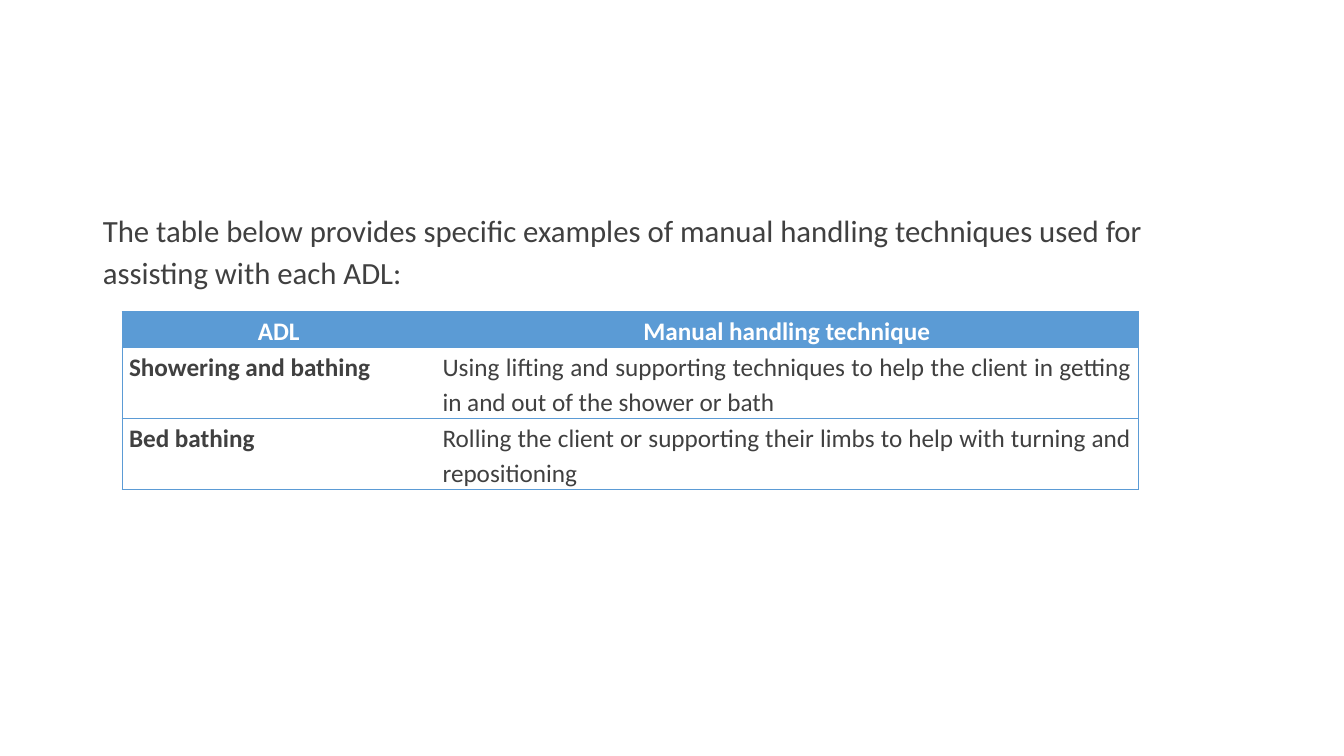
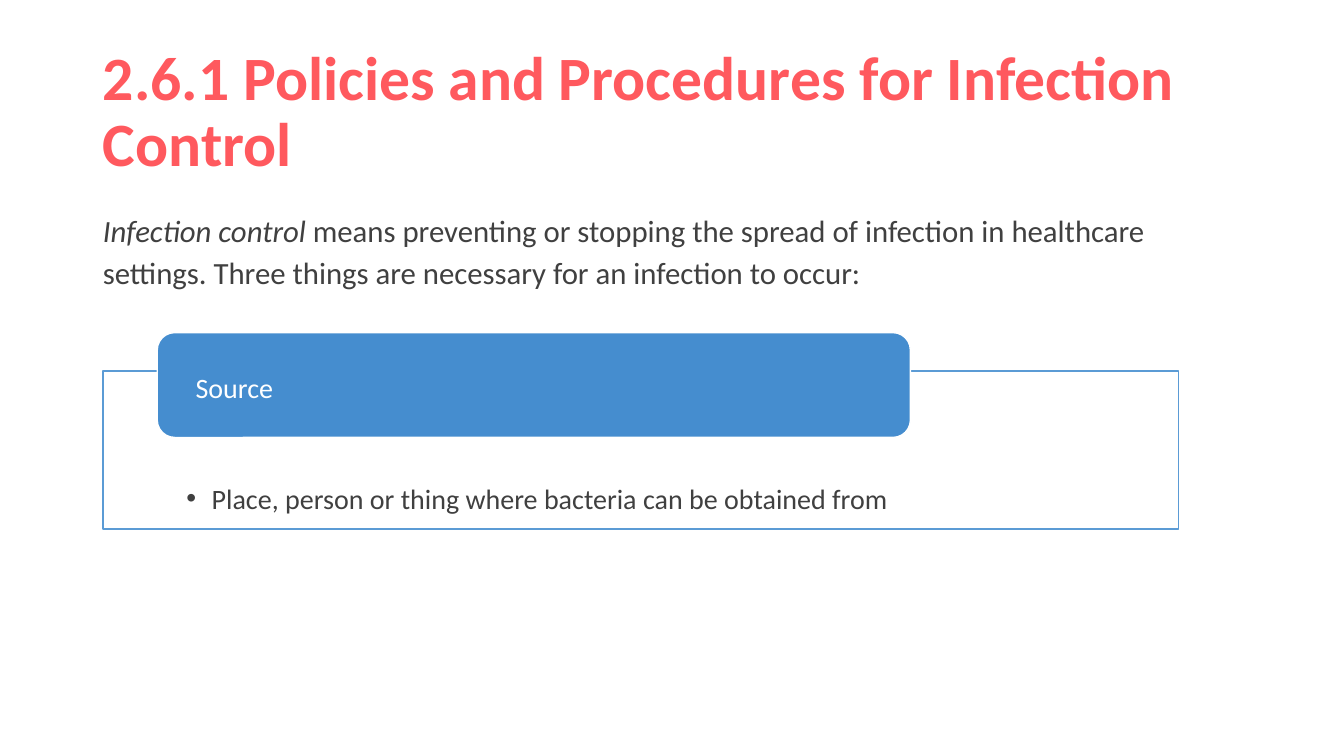
from lxml.etree import SubElement
from pptx import Presentation
from pptx.dml.color import RGBColor
from pptx.enum.shapes import MSO_SHAPE
from pptx.enum.text import MSO_ANCHOR, MSO_AUTO_SIZE, PP_ALIGN
from pptx.oxml.ns import qn
from pptx.util import Inches, Pt

FONT = "Calibri"
DARK, WHITE, CORAL = "404040", "FFFFFF", "FF595E"
BLUE, DEEP = "5B9BD5", "458DCF"
rgb = RGBColor.from_string


def write(para, text, size, color, bold=False, italic=False):
    run = para.add_run()
    run.text = text
    font = run.font
    font.name, font.size = FONT, Pt(size)
    font.bold, font.italic = bold, italic
    font.color.rgb = rgb(color)


def indent(para, mark=None):
    """Give a hanging bullet, or clear the bullet when there is no mark."""
    props = para._p.get_or_add_pPr()
    hang = Inches(0.25) if mark else 0
    props.set("marL", str(hang))
    props.set("indent", str(-hang))
    if mark:
        SubElement(props, qn("a:buFont"), typeface="Arial")
        SubElement(props, qn("a:buChar"), char=mark)
    else:
        SubElement(props, qn("a:buNone"))


prs = Presentation()
prs.slide_width, prs.slide_height = Inches(13.33), Inches(7.5)

# Shared places of title and body
layout = prs.slide_layouts[1]
for holder, top, height in zip(layout.placeholders, (0.4, 2), (1.45, 4.76)):
    holder.left, holder.top = Inches(0.92), Inches(top)
    holder.width, holder.height = Inches(11.03), Inches(height)

# Each slide: title and the runs of its intro, as text and italic
pages = [
    (None, [("The table below provides specific examples of manual handling "
             "techniques used for assisting with each ADL:", False)]),
    ("2.6.1 Policies and Procedures for Infection Control",
     [("Infection control ", True),
      ("means preventing or stopping the spread of infection in healthcare "
       "settings. Three things are necessary for an infection to occur:", False)]),
]
slides = []
for head, intro in pages:
    slide = prs.slides.add_slide(layout)
    slides.append(slide)
    title, body = slide.placeholders
    if head:
        title.text_frame.vertical_anchor = MSO_ANCHOR.MIDDLE
        para = title.text_frame.paragraphs[0]
        para.alignment, para.line_spacing = PP_ALIGN.LEFT, 0.9
        write(para, head, 44, CORAL, bold=True)
    else:
        title.element.getparent().remove(title.element)
    body.text_frame.auto_size = MSO_AUTO_SIZE.NONE
    para = body.text_frame.paragraphs[0]
    para.line_spacing = 1.14
    indent(para)
    for text, italic in intro:
        write(para, text, 22, DARK, italic=italic)

# Slide 1: table of techniques
rows = [
    ("ADL", "Manual handling technique"),
    ("Showering and bathing", "Using lifting and supporting techniques to help "
     "the client in getting in and out of the shower or bath"),
    ("Bed bathing", "Rolling the client or supporting their limbs to help with "
     "turning and repositioning"),
]
table = slides[0].shapes.add_table(
    3, 2, Inches(1.21), Inches(3.09), Inches(10.08), Inches(1.76)).table
for col, width in zip(table.columns, (3.11, 6.97)):
    col.width = Inches(width)
for r, texts in enumerate(rows):
    table.rows[r].height = Inches(0.7 if r else 0.36)
    for c, text in enumerate(texts):
        cell = table.cell(r, c)
        cell.margin_left = cell.margin_right = Inches(0.07)
        cell.margin_top = cell.margin_bottom = 0
        props = cell._tc.get_or_add_tcPr()
        for side in "LRTB":
            line = SubElement(props, qn(f"a:ln{side}"), w=str(Pt(0.5)))
            if side == "LR"[1 - c]:
                SubElement(line, qn("a:noFill"))
            else:
                fill = SubElement(line, qn("a:solidFill"))
                SubElement(fill, qn("a:srgbClr"), val=BLUE)
        para = cell.text_frame.paragraphs[0]
        para.line_spacing = 1.15
        if r == 0:
            cell.fill.solid()
            cell.fill.fore_color.rgb = rgb(BLUE)
            para.alignment = PP_ALIGN.CENTER
        else:
            cell.fill.background()
            para.alignment = PP_ALIGN.JUSTIFY
        write(para, text, 18, DARK if r else WHITE, bold=r == 0 or c == 0)

# Slide 2: framed point under its label
# Preset, place, fill, line, insets, anchor, text, text colour, bullet
boxes = [
    (MSO_SHAPE.RECTANGLE, (1.02, 3.68, 10.67, 1.57), WHITE, BLUE,
     (0.83, 1.05, 0.83, 0.16), MSO_ANCHOR.TOP,
     "Place, person or thing where bacteria can be obtained from", DARK, "•"),
    (MSO_SHAPE.ROUNDED_RECTANGLE, (1.56, 3.3, 7.47, 1.04), DEEP, WHITE,
     (0.33, 0.05, 0.33, 0.05), MSO_ANCHOR.MIDDLE, "Source", WHITE, None),
]
for kind, place, fill, edge, insets, anchor, text, color, mark in boxes:
    box = slides[1].shapes.add_shape(kind, *map(Inches, place))
    box.shadow.inherit = False
    box.fill.solid()
    box.fill.fore_color.rgb = rgb(fill)
    box.line.color.rgb = rgb(edge)
    box.line.width = Pt(1)
    frame = box.text_frame
    frame.word_wrap, frame.vertical_anchor = True, anchor
    (frame.margin_left, frame.margin_top,
     frame.margin_right, frame.margin_bottom) = map(Inches, insets)
    para = frame.paragraphs[0]
    para.alignment, para.line_spacing = PP_ALIGN.LEFT, 1.14
    indent(para, mark)
    if mark:
        para.font.color.rgb = rgb(color)
    write(para, text, 20, color)

prs.save("out.pptx")
